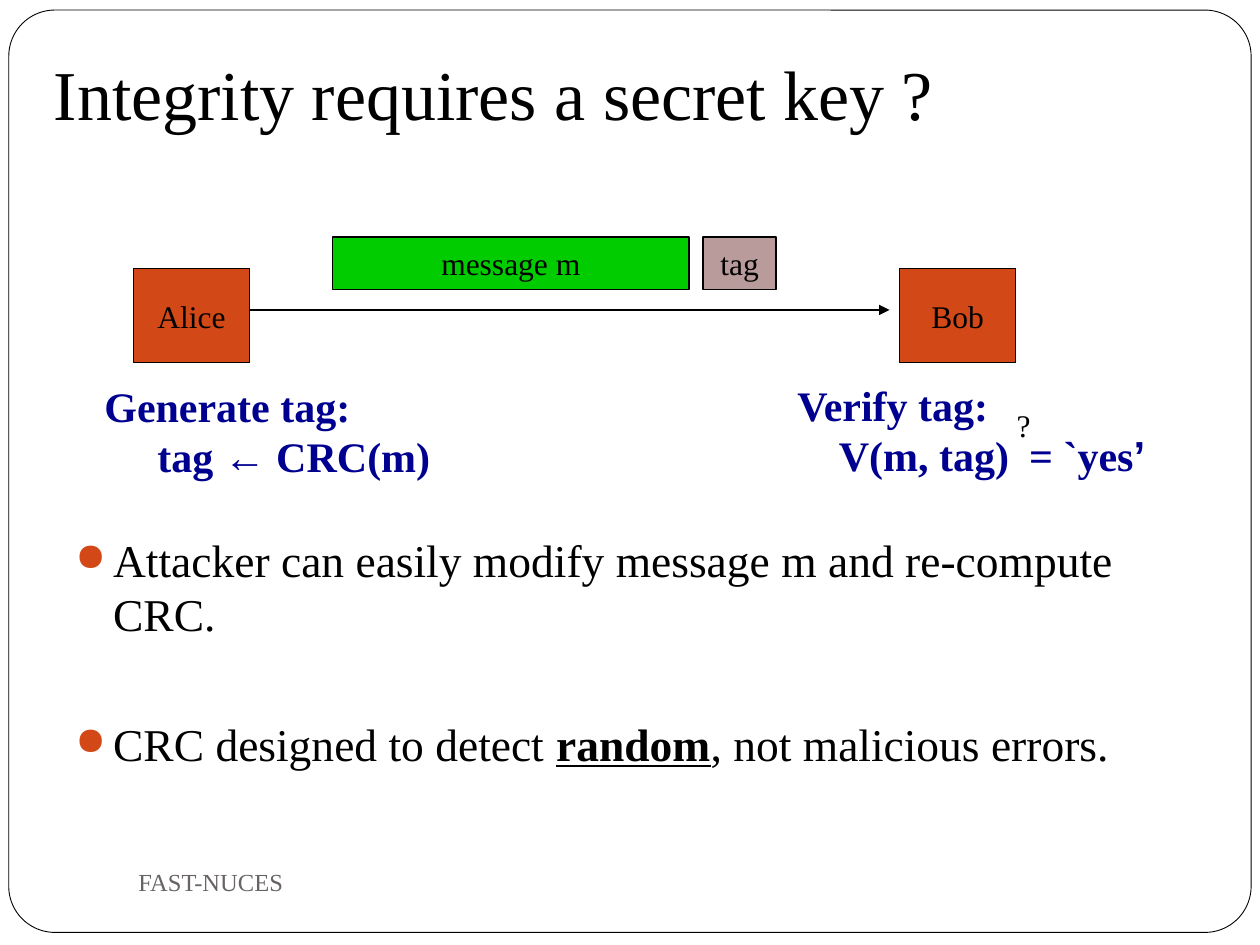
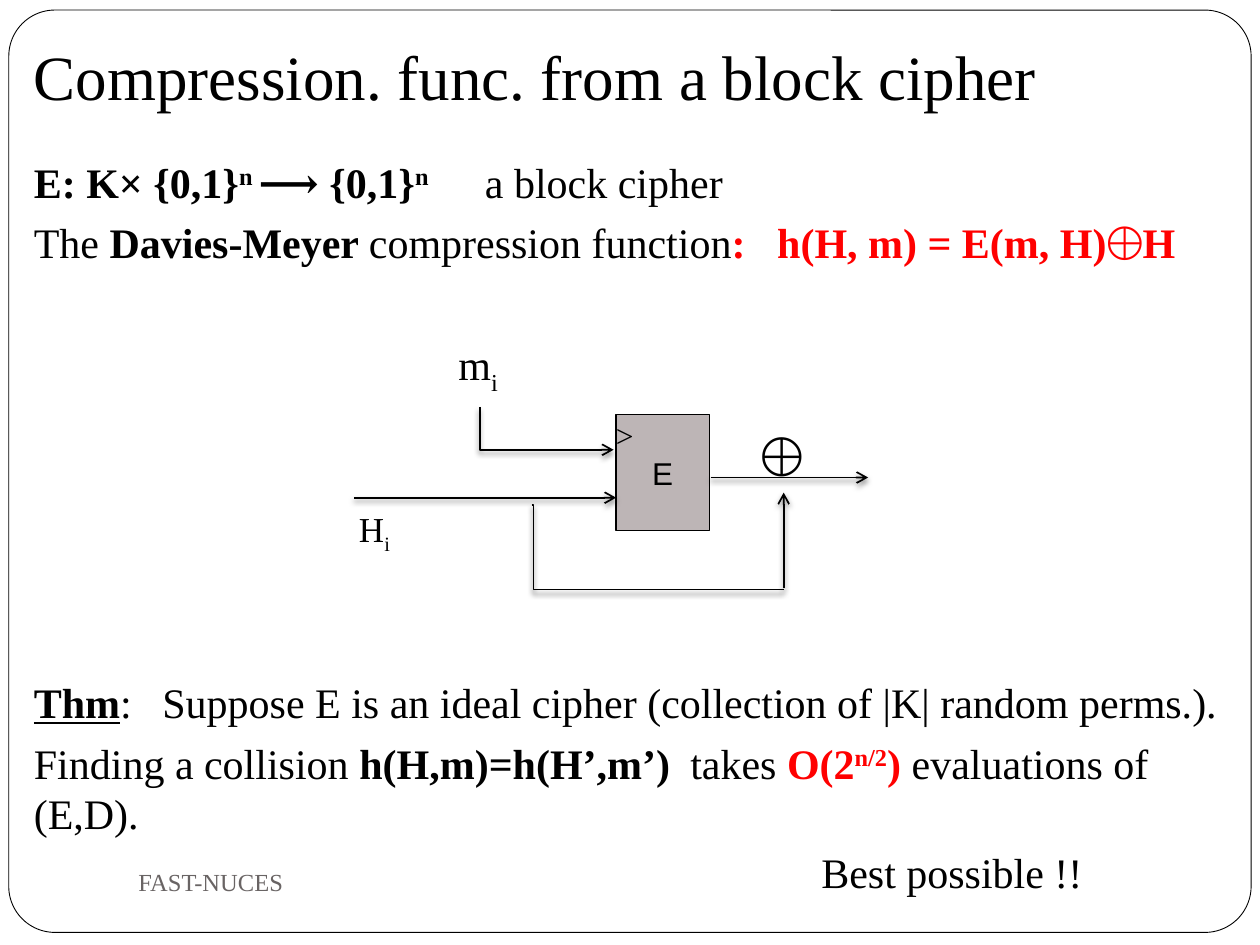
from typing import NamedTuple

from lxml.etree import SubElement as Sub
from pptx import Presentation
from pptx.dml.color import RGBColor as Rgb
from pptx.enum.shapes import MSO_CONNECTOR as Link, MSO_SHAPE as Form
from pptx.enum.text import MSO_ANCHOR as Anchor, MSO_AUTO_SIZE as Fit, PP_ALIGN as Align
from pptx.oxml.ns import qn
from pptx.util import Inches, Pt

HUES = {
    "ink": "000000", "paper": "FFFFFF", "rust": "D34817", "green": "00CC00",
    "rose": "B99B9B", "stone": "BDB5B6", "navy": "000090", "red": "FF0000",
    "gray": "696464",
}
SERIF = "Times New Roman"
SANS = "Arial"


class Bit(NamedTuple):
    text: str
    bold: bool = False
    hue: str = "ink"
    base: int = 0
    under: bool = False
    font: str = SERIF


class Para(NamedTuple):
    bits: list[Bit]
    gap: float = 0
    tabs: tuple = ()
    bullet: bool = False


class Label(NamedTuple):
    at: tuple
    paras: list[Para]
    size: int
    wrap: bool = False
    anchor: Anchor = Anchor.TOP
    foot: float = 0.05


class Block(NamedTuple):
    at: tuple
    text: str
    hue: str
    font: str = SERIF


class Wire(NamedTuple):
    start: tuple
    end: tuple
    head: str = ""
    width: float = 1
    shade: bool = True
    form: str = ""
    turn: dict = {}
    bend: int = 0


def color(name: str) -> Rgb:
    return Rgb.from_string(HUES[name])


def box(at: tuple) -> list:
    return [Inches(n) for n in at]


def add_bit(para, bit: Bit, size: int) -> None:
    run = para.add_run()
    run.text = bit.text
    font = run.font
    font.name, font.size = bit.font, Pt(size)
    font.bold, font.underline = bit.bold, bit.under
    font.color.rgb = color(bit.hue)
    if bit.base:
        run._r.get_or_add_rPr().set("baseline", str(bit.base * 1000))


def style(para, spec: Para) -> None:
    props = para._p.get_or_add_pPr()
    if spec.bullet:
        props.set("marL", str(Inches(0.3)))
        props.set("indent", str(Inches(-0.3)))
        tint = Sub(props, qn("a:buClr"))
        Sub(tint, qn("a:srgbClr"), val=HUES["rust"])
        Sub(props, qn("a:buSzPct"), val="85000")
        Sub(props, qn("a:buChar"), char="●")
    else:
        Sub(props, qn("a:buNone"))
    if spec.tabs:
        stops = Sub(props, qn("a:tabLst"))
        for stop in spec.tabs:
            Sub(stops, qn("a:tab"), pos=str(Inches(stop)), algn="l")
    para.space_before = Pt(spec.gap)


def add_label(slide, label: Label) -> None:
    frame = slide.shapes.add_textbox(*box(label.at)).text_frame
    frame.word_wrap = label.wrap
    frame.auto_size = Fit.NONE if label.wrap else Fit.SHAPE_TO_FIT_TEXT
    frame.vertical_anchor = label.anchor
    frame.margin_bottom = Inches(label.foot)
    for i, spec in enumerate(label.paras):
        para = frame.add_paragraph() if i else frame.paragraphs[0]
        style(para, spec)
        for bit in spec.bits:
            add_bit(para, bit, label.size)


def add_form(slide, form: Form, at: tuple, hue: str, width: float):
    shape = slide.shapes.add_shape(form, *box(at))
    shape.shadow.inherit = False
    shape.fill.solid()
    shape.fill.fore_color.rgb = color(hue)
    shape.line.color.rgb = color("ink")
    shape.line.width = Pt(width)
    return shape


def add_block(slide, block: Block) -> None:
    frame = add_form(slide, Form.RECTANGLE, block.at, block.hue, 0.75).text_frame
    frame.word_wrap = False
    frame.vertical_anchor = Anchor.MIDDLE
    para = frame.paragraphs[0]
    para.alignment = Align.CENTER
    add_bit(para, Bit(block.text, font=block.font), 18)


def add_wire(slide, wire: Wire) -> None:
    kind = Link.ELBOW if wire.form else Link.STRAIGHT
    line = slide.shapes.add_connector(kind, *box(wire.start + wire.end))
    line.line.color.rgb = color("ink")
    line.line.width = Pt(wire.width)
    props = line._element.spPr
    if wire.form:
        geom = props.find(qn("a:prstGeom"))
        geom.set("prst", wire.form)
        if wire.bend:
            Sub(geom.find(qn("a:avLst")), qn("a:gd"), name="adj1", fmla=f"val {wire.bend}")
    for key, val in wire.turn.items():
        props.find(qn("a:xfrm")).set(key, val)
    if wire.head:
        Sub(props.find(qn("a:ln")), qn("a:tailEnd"), type=wire.head)
    effects = Sub(props, qn("a:effectLst"))
    if wire.shade:
        shade = Sub(effects, qn("a:outerShdw"), blurRad=str(Pt(3)), dist=str(Pt(2)),
                    dir="5400000", rotWithShape="0")
        tint = Sub(shade, qn("a:srgbClr"), val=HUES["ink"])
        Sub(tint, qn("a:alpha"), val="50000")


def note(at: tuple, size: int, *bits: Bit) -> Label:
    return Label(at, [Para(list(bits))], size)


def add_base(deck, title: str, at: tuple, size: int):
    slide = deck.slides.add_slide(deck.slide_layouts[6])
    card = add_form(slide, Form.ROUNDED_RECTANGLE, (0.07, 0.08, 9.86, 7.32), "paper", 0.5)
    card.adjustments[0] = 0.05
    add_label(slide, Label(at, [Para([Bit(title)])], size, True, Anchor.BOTTOM, 0.1))
    mark = Para([Bit("FAST-NUCES", hue="gray")])
    add_label(slide, Label((1, 6.75, 4.33, 0.5), [mark], 14, True, Anchor.MIDDLE))
    return slide


def draw(slide, items: list) -> None:
    tools = {Label: add_label, Block: add_block, Wire: add_wire}
    for item in items:
        tools[type(item)](slide, item)


def add_secret(deck) -> None:
    slide = add_base(deck, "Integrity requires a secret key ?", (0.33, 0.3, 8.5, 0.87), 40)
    points = [
        Para([Bit("Attacker can easily modify message m and re-compute CRC.")], bullet=True),
        Para([Bit("CRC designed to detect "), Bit("random", True, under=True),
              Bit(", not malicious errors.")], 42.8, bullet=True),
    ]
    make = [
        Para([Bit("Generate tag:", True, "navy")]),
        Para([Bit("\ttag ← CRC(m)", True, "navy")], tabs=(0.42,)),
    ]
    check = [
        Para([Bit("Verify tag:", True, "navy")]),
        Para([Bit("\tV(m, tag)\t= `yes", True, "navy"),
              Bit("’", True, "navy", font=SANS)], tabs=(0.33, 1.84)),
    ]
    draw(slide, [
        Label((0.5, 4.17, 9, 2.44), points, 26, True),
        Block((1.06, 2.13, 0.92, 0.75), "Alice", "rust"),
        Block((7.14, 2.13, 0.92, 0.75), "Bob", "rust"),
        Wire((1.98, 2.46), (7.06, 2.46), "triangle", 0.75, False),
        Block((2.64, 1.88, 2.83, 0.42), "message m", "green"),
        Block((5.58, 1.88, 0.58, 0.42), "tag", "rose"),
        Label((0.73, 2.97, 3.58, 0.91), make, 24, True),
        Label((6.23, 2.96, 3.26, 0.91), check, 24, True),
        note((7.97, 3.17, 0.34, 0.4), 18, Bit("?")),
    ])


def add_cipher(deck) -> None:
    slide = add_base(deck, "Compression. func. from a block cipher", (0.17, 0.17, 9, 0.83), 36)
    lines = [
        Para([Bit("E: K× {0,1}", True), Bit("n ", True, base=30), Bit("⟶ {0,1}", True),
              Bit("n", True, base=30), Bit("\ta block cipher")], tabs=(3.58,)),
        Para([Bit("The "), Bit("Davies-Meyer ", True), Bit("compression function"),
              Bit(":\th(H, m) = E(m, H)⨁H", True, "red")], 5.8, (5.9,)),
        Para([Bit("Thm", True, under=True),
              Bit(":\tSuppose E is an ideal cipher (collection of |K| random perms.).")],
             234, (1.02,)),
        Para([Bit("Finding a collision "), Bit("h(H,m)=h(H’,m’)", True), Bit("\ttakes "),
              Bit("O(2", True, "red"), Bit("n/2", True, "red", 30), Bit(") ", True, "red"),
              Bit("evaluations of (E,D).")], 5.8, (5.21,)),
    ]
    draw(slide, [
        Label((0.17, 1.19, 9.75, 5.44), lines, 24, True),
        Block((4.89, 3.29, 0.74, 0.92), "E", "stone", SANS),
        note((4.79, 3.25, 0.35, 0.4), 18, Bit(">")),
        note((3.54, 2.64, 0.53, 0.5), 24, Bit("m"), Bit("i", base=-25)),
        Wire((4.17, 2.87), (4.51, 3.93), "arrow", form="bentConnector2",
             turn={"rot": "16200000", "flipH": "1"}),
        Wire((2.81, 3.95), (4.89, 3.95), "arrow"),
        note((2.75, 3.98, 0.45, 0.44), 20, Bit("H"), Bit("i", base=-25)),
        Wire((5.64, 3.79), (6.89, 3.79), "arrow"),
        note((5.94, 3.33, 0.54, 0.57), 28, Bit("⨁")),
        Wire((4.22, 4.01), (6.22, 4.68), form="bentConnector3", bend=700),
        Wire((6.22, 4.67), (6.22, 3.91), "arrow"),
        note((6.42, 6.67, 2.48, 0.5), 24, Bit("Best possible !!")),
    ])


def main() -> None:
    deck = Presentation()
    deck.slide_width, deck.slide_height = Inches(10), Inches(7.5)
    add_secret(deck)
    add_cipher(deck)
    deck.save("out.pptx")


if __name__ == "__main__":
    main()
